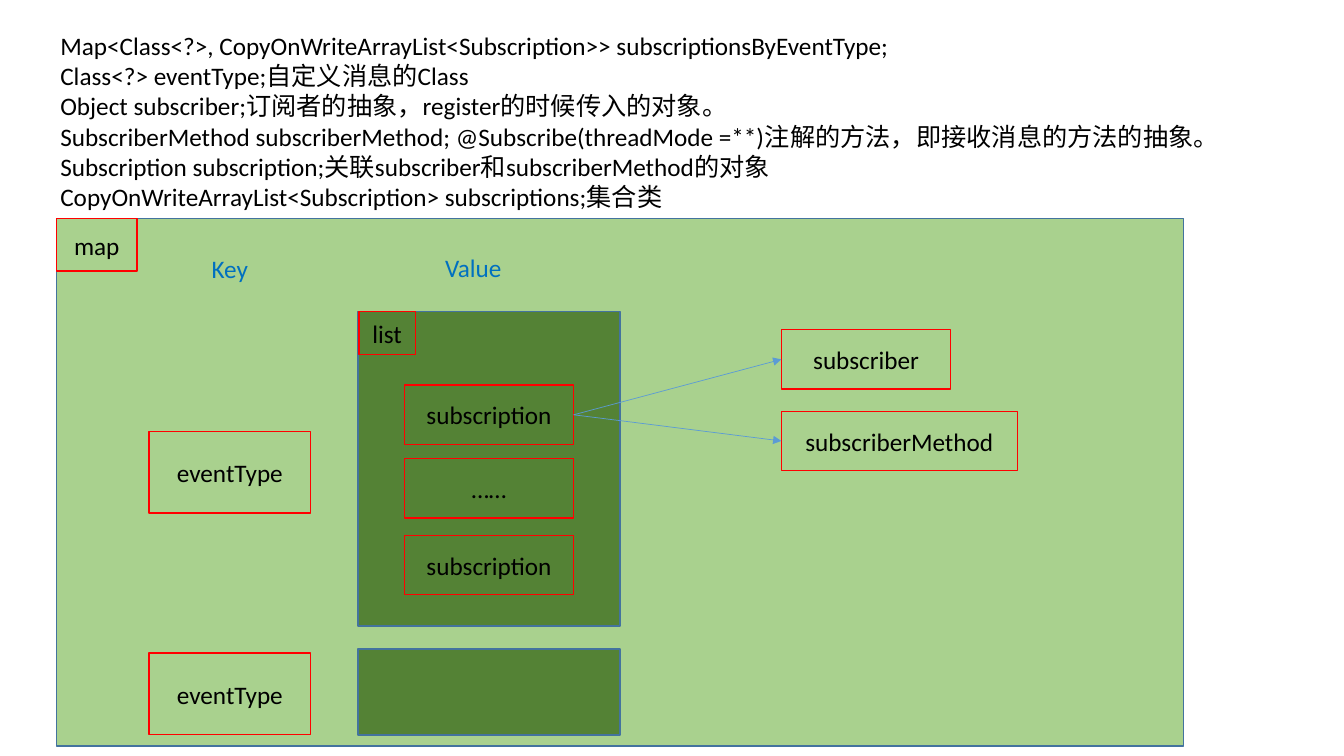
from pptx import Presentation
from pptx.dml.color import RGBColor
from pptx.enum.shapes import MSO_CONNECTOR, MSO_SHAPE
from pptx.enum.text import MSO_ANCHOR, MSO_AUTO_SIZE, PP_ALIGN
from pptx.oxml.ns import qn
from pptx.util import Inches, Pt
from lxml.etree import SubElement

# Content
NOTES = [
    "Map<Class<?>, CopyOnWriteArrayList<Subscription>> subscriptionsByEventType;",
    "Class<?> eventType;自定义消息的Class",
    "Object subscriber;订阅者的抽象，register的时候传入的对象。",
    "SubscriberMethod subscriberMethod; @Subscribe(threadMode =**)注解的方法，即接收消息的方法的抽象。",
    "Subscription subscription;关联subscriber和subscriberMethod的对象",
    "CopyOnWriteArrayList<Subscription> subscriptions;集合类",
]
COLORS = {"map": "A9D18E", "list": "548235", "edge": "43739E", "box": "FF0000",
          "arrow": "5B9BD5", "text": "000000", "head": "0070C0"}

# Places: left, top, width, height
NOTE_AT = (0.5, 0.25, 11.68, 1.92)
PANELS = [("map", (0.56, 2.17, 11.18, 5.23)),
          ("list", (3.55, 3.09, 2.6, 3.12)),
          ("list", (3.55, 6.44, 2.6, 0.85))]
HEADS = [("Key", (1.95, 2.43, 0.66, 0.47)),
         ("Value", (4.21, 2.42, 0.97, 0.47))]
TAGS = [("map", (0.56, 2.17, 0.8, 0.52)),
        ("list", (3.56, 3.09, 0.56, 0.43))]
KEYS = [("eventType", (1.48, top, 1.6, 0.81)) for top in (4.28, 6.48)]
ITEMS = [(text, (4.01, top, 1.68, 0.59)) for text, top in
         (("subscription", 3.82), ("……", 4.55), ("subscription", 5.31))]
PARTS = [("subscriber", (7.75, 3.27, 1.68, 0.59)),
         ("subscriberMethod", (7.75, 4.08, 2.34, 0.59))]

deck = Presentation()
deck.slide_width, deck.slide_height = Inches(13.33), Inches(7.5)
shapes = deck.slides.add_slide(deck.slide_layouts[6]).shapes


def rgb(name):
    return RGBColor.from_string(COLORS[name])


def write(frame, lines, color="text", align=PP_ALIGN.CENTER):
    frame.word_wrap = True
    frame.text = "\n".join(lines)
    for para in frame.paragraphs:
        para.alignment = align
        para.font.size, para.font.name = Pt(18), "Calibri"
        para.font.color.rgb = rgb(color)


def add_rect(place, line, fill=None):
    rect = shapes.add_shape(MSO_SHAPE.RECTANGLE, *map(Inches, place))
    rect.shadow.inherit = False
    if fill:
        rect.fill.solid()
        rect.fill.fore_color.rgb = rgb(fill)
    else:
        rect.fill.background()
    rect.line.color.rgb, rect.line.width = rgb(line), Pt(1)
    return rect


def add_box(text, place):
    box = add_rect(place, "box")
    box.text_frame.vertical_anchor = MSO_ANCHOR.MIDDLE
    write(box.text_frame, [text])
    return box


def add_text(lines, place, **style):
    frame = shapes.add_textbox(*map(Inches, place)).text_frame
    write(frame, lines, **style)
    return frame


def add_arrow(start, end):
    arrow = shapes.add_connector(MSO_CONNECTOR.STRAIGHT, 0, 0, 0, 0)
    arrow.begin_connect(start, 3)  # right side
    arrow.end_connect(end, 1)  # left side
    arrow.line.color.rgb, arrow.line.width = rgb("arrow"), Pt(0.5)
    SubElement(arrow.line._get_or_add_ln(), qn("a:tailEnd"), type="triangle")
    SubElement(arrow._element.spPr, qn("a:effectLst"))


# Panels and notes
for fill, place in PANELS:
    add_rect(place, "edge", fill)
notes = add_text(NOTES, NOTE_AT, align=PP_ALIGN.LEFT)
notes.auto_size = MSO_AUTO_SIZE.SHAPE_TO_FIT_TEXT

# Column heads
for text, place in HEADS:
    head = add_text([text], place, color="head")
    head.vertical_anchor = MSO_ANCHOR.MIDDLE

# Boxes, and arrows from the first subscription to its parts
for text, place in TAGS + KEYS:
    add_box(text, place)
items = [add_box(*item) for item in ITEMS]
for part in PARTS:
    add_arrow(items[0], add_box(*part))

deck.save("out.pptx")
